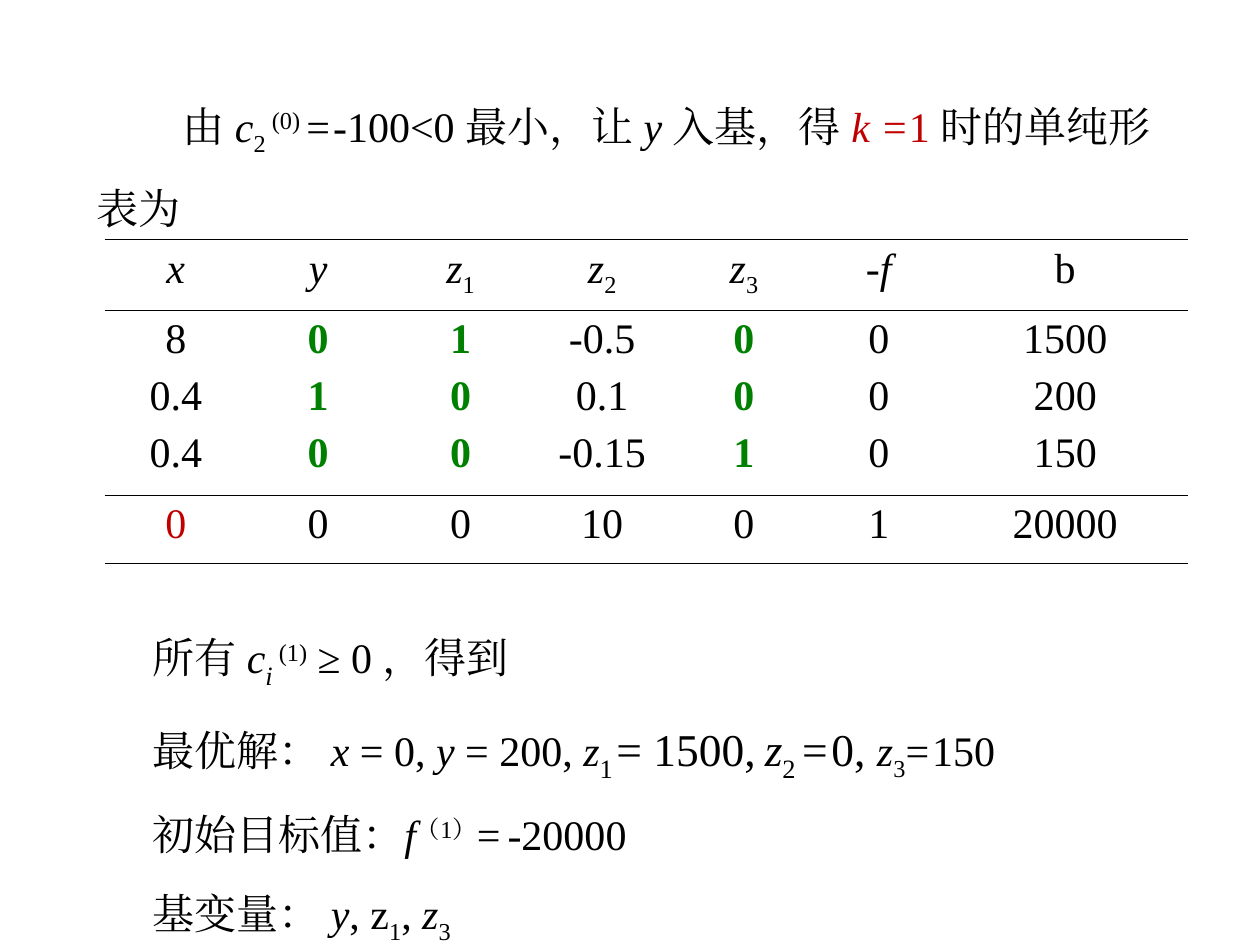
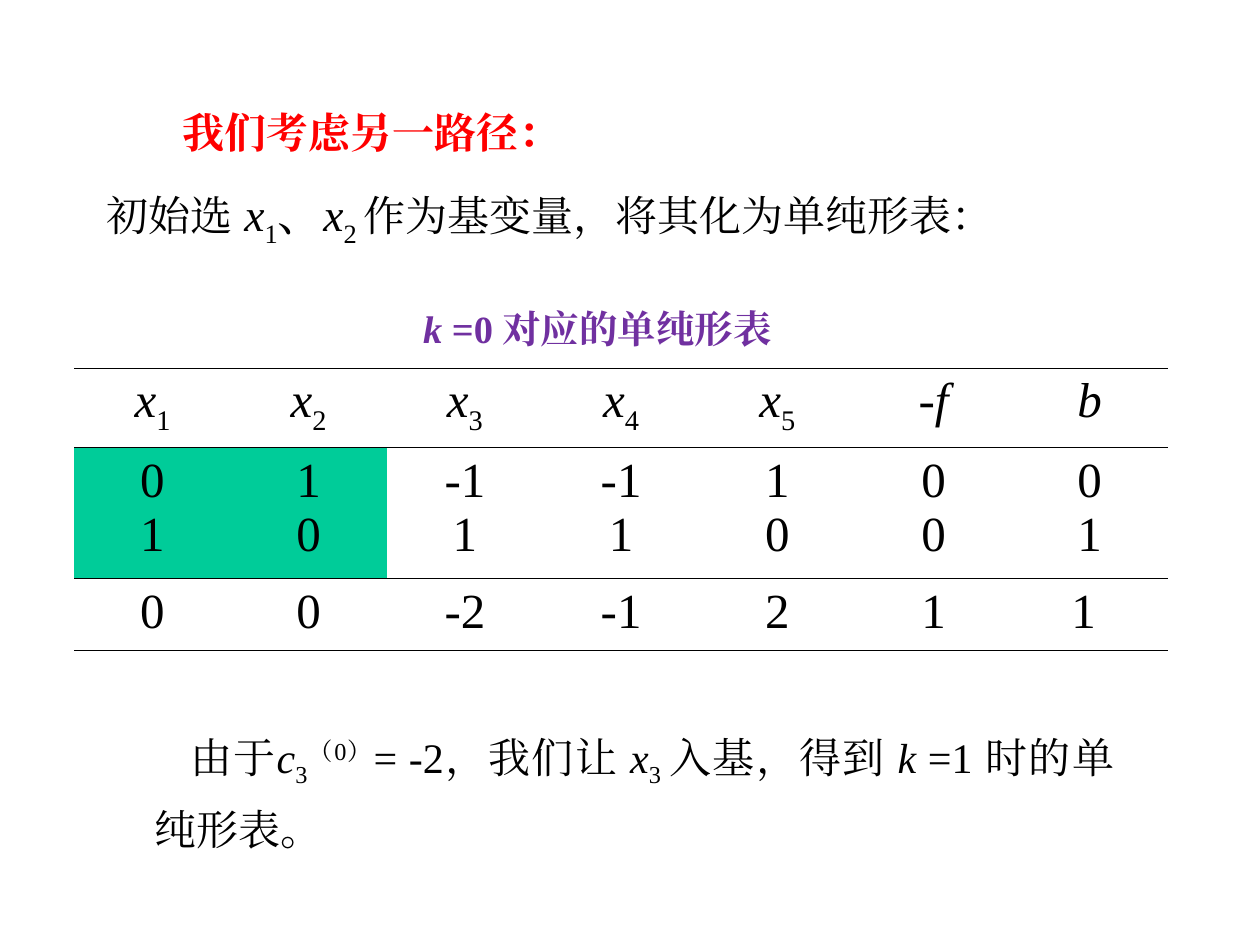
from dataclasses import dataclass, replace
from typing import Optional

from lxml import etree
from pptx import Presentation
from pptx.dml.color import RGBColor
from pptx.enum.text import PP_ALIGN as Align
from pptx.oxml.ns import qn
from pptx.util import Inches, Pt

# Shared style
FONT = "Times New Roman"
BLACK = RGBColor(0x00, 0x00, 0x00)
DARK_RED = RGBColor(0xC0, 0x00, 0x00)
RED = RGBColor(0xFF, 0x00, 0x00)
GREEN = RGBColor(0x00, 0x80, 0x00)
PURPLE = RGBColor(0x70, 0x30, 0xA0)
TEAL = RGBColor(0x00, 0xCC, 0x99)
PLAIN_TABLE = "{2D5ABB26-0587-4C30-8999-92F81FD0307C}"
RULE_WIDTH = Pt(0.45)


@dataclass(frozen=True)
class Run:
    text: str
    size: Optional[float] = None
    color: RGBColor = BLACK
    bold: bool = False
    italic: bool = False
    baseline: int = 0


@dataclass(frozen=True)
class Para:
    runs: list[Run]
    align: Align = Align.JUSTIFY
    left: float = 0
    first: float = 0
    spacing: Optional[float] = None
    before: float = 0
    after: float = 0


@dataclass(frozen=True)
class Tableau:
    left: float
    top: float
    widths: list[float]
    heights: list[float]
    size: float
    gap: float
    header: list[list[Run]]
    body: list[list[Run]]
    costs: list[Run]
    basis_fill: tuple[int, ...] = ()


# Formula pieces
def var(name: str, size: Optional[float] = None) -> Run:
    return Run(name, size, italic=True)


def sub(text: str, size: Optional[float] = None) -> Run:
    return Run(text, size, baseline=-25)


def sup(text: str) -> Run:
    return Run(text, baseline=30)


def indexed(name: str, index: str, size: Optional[float] = None) -> list[Run]:
    return [var(name, size), sub(index, size)]


def numbers(text: str) -> list[Run]:
    return [Run(value) for value in text.split()]


# Drawing
def write(tf, paras: list[Para], size: float) -> None:
    for i, para in enumerate(paras):
        p = tf.paragraphs[0] if i == 0 else tf.add_paragraph()
        pPr = p._p.get_or_add_pPr()
        pPr.set("marL", str(Inches(para.left)))
        pPr.set("indent", str(Inches(para.first)))
        p.alignment = para.align
        if para.spacing:
            p.line_spacing = para.spacing
        p.space_before = Pt(para.before if i else 0)
        p.space_after = Pt(para.after)
        for item in para.runs:
            r = p.add_run()
            r.text = item.text
            font = r.font
            font.name, font.size = FONT, Pt(item.size or size)
            font.bold, font.italic = item.bold, item.italic
            font.color.rgb = item.color
            rPr = r._r.get_or_add_rPr()
            rPr.set("lang", "zh-CN")
            if item.baseline:
                rPr.set("baseline", str(item.baseline * 1000))
            latin = rPr.find(qn("a:latin"))
            ea = etree.Element(qn("a:ea"), typeface=FONT)
            latin.addnext(ea)


def add_text(slide, left: float, top: float, width: float, height: float,
             paras: list[Para], size: float = 24, wrap: bool = True) -> None:
    sp = slide.shapes.add_textbox(Inches(left), Inches(top), Inches(width), Inches(height))
    sp.text_frame.word_wrap = wrap
    write(sp.text_frame, paras, size)


def rule_cell(cell) -> None:
    """Rules above and below, none at the sides."""
    tcPr = cell._tc.get_or_add_tcPr()
    for i, side in enumerate(("a:lnL", "a:lnR", "a:lnT", "a:lnB")):
        ln = etree.Element(qn(side), w=str(RULE_WIDTH))
        if side in ("a:lnT", "a:lnB"):
            fill = etree.SubElement(ln, qn("a:solidFill"))
            etree.SubElement(fill, qn("a:srgbClr"), val=str(BLACK))
        else:
            etree.SubElement(ln, qn("a:noFill"))
        tcPr.insert(i, ln)


def add_tableau(slide, t: Tableau) -> None:
    frame = slide.shapes.add_table(
        len(t.heights), len(t.widths), Inches(t.left), Inches(t.top),
        Inches(sum(t.widths)), Inches(sum(t.heights)))
    table = frame.table
    table.first_row = table.horz_banding = False
    table._tbl.tblPr.find(qn("a:tableStyleId")).text = PLAIN_TABLE
    for column, width in zip(table.columns, t.widths):
        column.width = Inches(width)
    for row, height in zip(table.rows, t.heights):
        row.height = Inches(height)

    # The body row holds one paragraph per constraint
    rows = [
        [[runs] for runs in t.header],
        [[[value] for value in column] for column in zip(*t.body)],
        [[[value]] for value in t.costs],
    ]
    for i, row in enumerate(rows):
        for j, lines in enumerate(row):
            cell = table.cell(i, j)
            if i == 1 and j in t.basis_fill:
                cell.fill.solid()
                cell.fill.fore_color.rgb = TEAL
            else:
                cell.fill.background()
            rule_cell(cell)
            write(cell.text_frame,
                  [Para(runs, Align.CENTER, before=t.gap, after=t.gap) for runs in lines],
                  t.size)


def mark_basis(row: list[Run], columns: tuple[int, ...]) -> list[Run]:
    return [replace(value, color=GREEN, bold=True) if j in columns else value
            for j, value in enumerate(row)]


def optimal_slide(slide) -> None:
    # Introduction
    add_text(slide, 0.67, 0.52, 8.82, 1.39, [Para([
        Run("由 "), var("c"), sub("2 "), sup("(0) "), Run("="), Run(" ", 7),
        Run("-100<0 最小，让 "), var("y "), Run("入基，得 "),
        Run("k =", color=DARK_RED, italic=True), Run("1 ", color=DARK_RED),
        Run("时的单纯形表为"),
    ], Align.LEFT, first=0.68, spacing=1.5)])

    # Simplex tableau
    basis = (1, 2, 4)
    body = ["8 0 1 -0.5 0 0 1500", "0.4 1 0 0.1 0 0 200", "0.4 0 0 -0.15 1 0 150"]
    costs = numbers("0 0 0 10 0 1 20000")
    costs[0] = replace(costs[0], color=DARK_RED)
    add_tableau(slide, Tableau(
        0.83, 1.9, [1.13, 1.13, 1.13, 1.12, 1.13, 1.01, 1.95], [0.56, 1.47, 0.54],
        size=24, gap=3,
        header=[[var("x")], [var("y")], *(indexed("z", n) for n in "123"),
                [var("-f")], [Run("b")]],
        body=[mark_basis(numbers(line), basis) for line in body],
        costs=costs))

    # Optimal solution
    results = [
        [Run("所有 "), var("c"), Run("i", 26, italic=True, baseline=-25),
         sup(" (1)"), Run(" ≥ 0 ，得到")],
        [Run("最优解： "), var("x "), Run("= 0, "), var("y "), Run("= 200, "),
         var("z"), sub("1", 26), Run(" ", 8), Run("= 1500,", 26), Run(" ", 20),
         *indexed("z", "2 ", 26), Run("=", 26), Run(" ", 8), Run("0, ", 26),
         *indexed("z", "3"), Run("="), Run(" ", 7), Run("150")],
        [Run("初始目标值："), var("f"), sup("（1）"), Run("="), Run(" ", 16),
         Run("-20000")],
        [Run("基变量： "), var("y"), Run(", z"), sub("1"), Run(", "),
         *indexed("z", "3")],
    ]
    add_text(slide, 0.67, 4.69, 8.82, 2.86,
             [Para(runs, left=0.44, spacing=1.5) for runs in results])


def other_path_slide(slide) -> None:
    # Introduction
    add_text(slide, 0.75, 0.68, 8.19, 1.4, [
        Para([Run("我们考虑另一路径：", color=RED, bold=True)], left=0.6, spacing=1.3),
        Para([Run("初始选"), Run(" ", 26), *indexed("x", "1", 26), Run("、", 26),
              *indexed("x", "2 ", 26), Run("作为基变量，将其化为单纯形表：")],
             spacing=1.3, before=6),
    ])

    # Table caption and simplex tableau
    caption = [Run("k ", color=PURPLE, bold=True, italic=True),
               Run("=0 对应的单纯形表", color=PURPLE, bold=True)]
    add_text(slide, 3.26, 2.37, 3.04, 0.47, [Para(caption, Align.LEFT)], 22, wrap=False)
    costs = numbers("0 0 -2 -1 2 1") + [Run("1 ")]
    add_tableau(slide, Tableau(
        0.59, 2.92, [1.24] * 7, [0.63, 1.04, 0.57], size=28, gap=0,
        header=[*(indexed("x", n) for n in "12345"), [var("-f")], [var("b")]],
        body=[numbers("0 1 -1 -1 1 0 0"), numbers("1 0 1 1 0 0 1")],
        costs=costs, basis_fill=(0, 1)))

    # Next step
    add_text(slide, 0.75, 5.62, 8.19, 1.3, [Para([
        Run("由于"), *indexed("c", "3"), sup("（0）"), Run("= -2，我们让 "),
        *indexed("x", "3 "), Run("入基，得到 "), var("k "), Run("=1 时的单纯形表。"),
    ], left=0.38, first=0.28, spacing=1.3)])


def main() -> None:
    prs = Presentation()
    prs.slide_width, prs.slide_height = Inches(10), Inches(7.5)
    for build in (optimal_slide, other_path_slide):
        build(prs.slides.add_slide(prs.slide_layouts[6]))
    prs.save("out.pptx")


if __name__ == "__main__":
    main()
